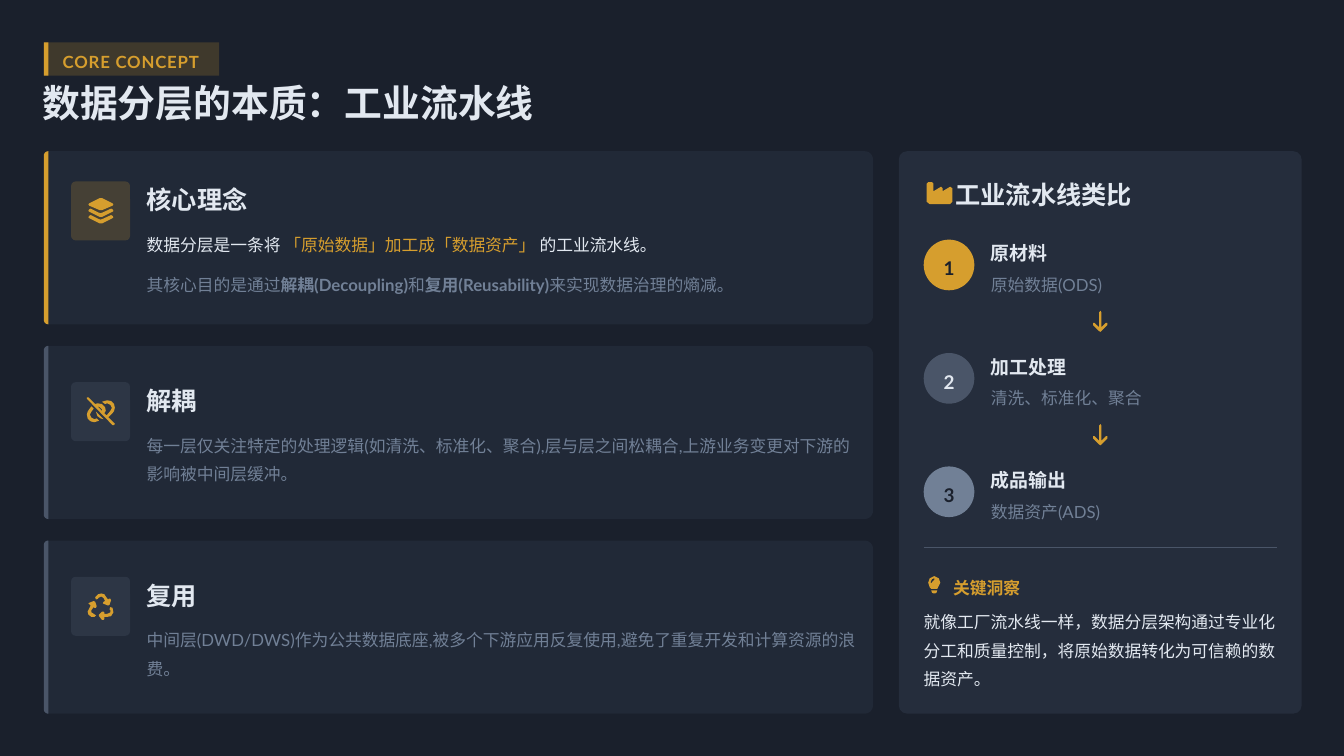
import math

from lxml import etree
from pptx import Presentation
from pptx.dml.color import RGBColor
from pptx.enum.shapes import MSO_CONNECTOR, MSO_SHAPE
from pptx.enum.text import MSO_ANCHOR, PP_ALIGN
from pptx.oxml.ns import qn
from pptx.util import Inches, Pt

RECTANGLE = MSO_SHAPE.RECTANGLE
ROUNDED = MSO_SHAPE.ROUNDED_RECTANGLE
OVAL = MSO_SHAPE.OVAL
STRAIGHT = MSO_CONNECTOR.STRAIGHT
MIDDLE = MSO_ANCHOR.MIDDLE
LEFT, CENTER = PP_ALIGN.LEFT, PP_ALIGN.CENTER
LATIN, CJK = "Lato", "Noto Sans CJK SC"
COLORS = {"night": "1A202C", "gold": "D69E2E", "light": "E2E8F0",
          "muted": "718096", "slate": "4A5568", "card": "2D3748"}

LAYER = [(26, 36), (36, 41), (39, 42), (42, 41), (53, 36), (55, 37), (56, 39),
         (55, 40), (41, 47), (38, 47), (24, 40), (23, 39), (24, 37)]
LAYERS_ICON = [
    [(38, 22), (41, 22), (55, 29), (56, 30), (55, 32), (41, 38), (38, 38),
     (24, 32), (23, 30), (24, 29)],
    LAYER,
    [(x, y + 8.5) for x, y in LAYER]]
UNLINK_ICON = [
    [(23, 20), (21, 20), (21, 22), (55, 57), (57, 57), (58, 55)],
    [(50, 46), (55, 41), (57, 38), (58, 34), (57, 29), (53, 25), (48, 24), (44, 25),
     (41, 26), (45, 29), (48, 28), (52, 30), (54, 34), (52, 38), (48, 43), (47, 44)],
    [(32, 29), (35, 28), (41, 29), (45, 33), (46, 38), (44, 41), (41, 38), (41, 36),
     (38, 33), (35, 32)],
    [(43, 49), (33, 39), (35, 45), (39, 48)],
    [(30, 35), (27, 32), (24, 36), (22, 39), (21, 43), (22, 48), (26, 52), (31, 53),
     (34, 52), (37, 51), (34, 48), (31, 49), (27, 47), (25, 43), (27, 39)]]
RECYCLE_ICON = [
    [(33, 26), (36, 23), (40, 22), (44, 23), (46, 26), (49, 30), (50, 29), (52, 29),
     (53, 31), (51, 37), (49, 38), (44, 36), (42, 35), (43, 33), (45, 32), (43, 28),
     (40, 26), (36, 28), (36, 29), (33, 30), (32, 27)],
    [(52, 40), (55, 41), (56, 47), (53, 52), (48, 53), (44, 53), (44, 56), (43, 57),
     (41, 57), (37, 52), (37, 50), (41, 46), (43, 46), (44, 47), (44, 49), (48, 49),
     (52, 47), (52, 44), (51, 43)],
    [(26, 38), (24, 36), (23, 35), (25, 34), (30, 32), (32, 33), (34, 39), (33, 41),
     (31, 41), (30, 40), (27, 44), (27, 47), (30, 49), (33, 51), (31, 53), (27, 53),
     (23, 50), (22, 46), (24, 42)]]
FACTORY_ICON = [
    [(39, 41), (37, 43), (37, 67), (41, 70), (68, 70), (71, 67), (71, 49), (68, 47),
     (58, 53), (58, 49), (56, 47), (46, 53), (46, 43), (44, 41)]]
BULB_ICON = [
    [(12, 17), (13, 15), (16, 9), (14, 3), (8, 0), (2, 3), (0, 9), (2, 15), (4, 17)],
    [(12, 19), (4, 19), (5, 22), (7, 23), (9, 23), (11, 22)],
    [(8, 5), (5, 8), (4, 10), (3, 8), (5, 4), (8, 3)]]
ARROW_ICON = [
    [(9, 27), (11, 28), (12, 27), (20, 19), (20, 16), (18, 16), (12, 22), (12, 2),
     (11, 0), (9, 2), (9, 22), (3, 16), (1, 16), (1, 19)]]

CARDS = [
    ("核心理念", 0.4, LAYERS_ICON, "gold", 20, [
        (0.36, [("数据分层是一条将", "light", False),
                (" 「原始数据」加工成「数据资产」 ", "gold", False),
                ("的工业流水线。", "light", False)]),
        (0.36, [("其核心目的是通过", "muted", False),
                ("解耦(Decoupling)", "muted", True),
                ("和", "muted", False),
                ("复用(Reusability)", "muted", True),
                ("来实现数据治理的熵减。", "muted", False)])]),
    ("解耦", 0.48, UNLINK_ICON, "slate", 30, [
        (0.72, [("每一层仅关注特定的处理逻辑(如清洗、标准化、聚合),层与层之间松耦合,"
                 "上游业务变更对下游的影响被中间层缓冲。", "muted", False)])]),
    ("复用", 0.48, RECYCLE_ICON, "slate", 30, [
        (0.72, [("中间层(DWD/DWS)作为公共数据底座,被多个下游应用反复使用,"
                 "避免了重复开发和计算资源的浪费。", "muted", False)])])]
STEPS = [("原材料", "原始数据(ODS)", "gold", "night"),
         ("加工处理", "清洗、标准化、聚合", "slate", "light"),
         ("成品输出", "数据资产(ADS)", "muted", "night")]
INSIGHT = "就像工厂流水线一样，数据分层架构通过专业化分工和质量控制，将原始数据转化为可信赖的数据资产。"


def paint(shape, color, alpha=100):
    shape.shadow.inherit = False
    shape.line.fill.background()
    shape.fill.solid()
    shape.fill.fore_color.rgb = RGBColor.from_string(COLORS[color])
    if alpha < 100:
        tint = shape.fill._xPr.find(qn("a:solidFill"))[0]
        etree.SubElement(tint, qn("a:alpha")).set("val", str(alpha * 1000))
    return shape


def add_preset(page, kind, box, color, alpha=100, radius=None):
    shape = page.shapes.add_shape(kind, *[Inches(v) for v in box])
    if radius:
        shape.adjustments[0] = radius / min(box[2:])
    return paint(shape, color, alpha)


def add_outline(page, left, top, contours, color, alpha=100, unit=0.01):
    contours = [[(Inches(x * unit), Inches(y * unit)) for x, y in c] for c in contours]
    builder = page.shapes.build_freeform(*contours[0][0])
    builder.add_line_segments(contours[0][1:])
    for contour in contours[1:]:
        builder.move_to(*contour[0])
        builder.add_line_segments(contour[1:])
    return paint(builder.convert_to_shape(Inches(left), Inches(top)), color, alpha)


def add_rounded_sides(page, box, left_radius, right_radius, color, alpha=100):
    left, top, width, height = box
    corners = [(right_radius, width - right_radius, right_radius, -90),
               (right_radius, width - right_radius, height - right_radius, 0),
               (left_radius, left_radius, height - left_radius, 90),
               (left_radius, left_radius, left_radius, 180)]
    points = []
    for radius, x, y, start in corners:
        for turn in range(0, 91, 15):
            angle = math.radians(start + turn)
            points.append((x + radius * math.cos(angle), y + radius * math.sin(angle)))
    return add_outline(page, left, top, [points], color, alpha, unit=1)


def write(frame, spans, size, spacing, align=LEFT, font=LATIN, tracking=None):
    frame.word_wrap = True
    frame.vertical_anchor = MIDDLE
    frame.margin_left = frame.margin_right = frame.margin_top = frame.margin_bottom = 0
    para = frame.paragraphs[0]
    para.alignment = align
    para.line_spacing = spacing
    for text, color, bold in spans:
        span = para.add_run()
        span.text = text
        span.font.size = Pt(size)
        span.font.bold = bold
        span.font.color.rgb = RGBColor.from_string(COLORS[color])
        span.font.name = font
        props = span.font._element
        etree.SubElement(props, qn("a:ea")).set("typeface", CJK)
        if tracking:
            props.set("spc", str(tracking))


def add_text(page, box, spans, size, spacing, **options):
    shape = page.shapes.add_textbox(*[Inches(v) for v in box])
    write(shape.text_frame, spans, size, spacing, **options)


def draw_header(page, left, top):
    add_preset(page, RECTANGLE, (left, top, 2.32, 0.44), "gold", 20)
    add_preset(page, RECTANGLE, (left, top, 0.06, 0.44), "gold")
    add_text(page, (left + 0.25, top + 0.07, 1.96, 0.29),
             [("CORE CONCEPT", "gold", True)], 16, 1.3, tracking=80)
    add_text(page, (left - 0.02, top + 0.55, 16.92, 0.56),
             [("数据分层的本质：工业流水线", "light", True)], 36, 0.9, font=CJK)


def draw_card(page, box, card):
    title, inset, icon, accent, alpha, lines = card
    left, top, width, height = box
    add_rounded_sides(page, box, 0.06, 0.11, "card", 40)
    add_rounded_sides(page, (left, top, 0.06, height), 0.06, 0, accent)
    tile_left, tile_top, text_left = left + 0.36, top + inset, left + 1.36
    add_preset(page, ROUNDED, (tile_left, tile_top, 0.78, 0.78), accent, alpha, 0.06)
    add_outline(page, tile_left, tile_top, icon, "gold")
    add_text(page, (text_left, tile_top, 9.44, 0.44), [(title, "light", True)], 24, 1.1)
    for i, (line_height, spans) in enumerate(lines):
        add_text(page, (text_left, tile_top + 0.61 + i * 0.53, 9.39, line_height),
                 spans, 16, 1.4)


def draw_step(page, left, top, number, step):
    title, detail, color, ink = step
    circle = add_preset(page, OVAL, (left, top, 0.67, 0.67), color)
    write(circle.text_frame, [(str(number), ink, True)], 18, 1.3, align=CENTER)
    add_text(page, (left + 0.89, top - 0.06, 3.9, 0.39), [(title, "light", True)], 18, 1.3)
    add_text(page, (left + 0.89, top + 0.39, 3.89, 0.33), [(detail, "muted", False)], 16, 1.3)
    if number < len(STEPS):
        add_outline(page, left + 2.23, top + 0.94, ARROW_ICON, "gold")


def draw_analogy(page, box):
    left, top = box[:2]
    inner = left + 0.33
    add_preset(page, ROUNDED, box, "card", 60, 0.11)
    add_outline(page, left, top, FACTORY_ICON, "gold")
    add_text(page, (left + 0.75, top + 0.33, 4.42, 0.44),
             [("工业流水线类比", "light", True)], 24, 1.1)
    for i, step in enumerate(STEPS):
        draw_step(page, inner, top + 1.17 + i * 1.5, i + 1, step)
    rule_y = Inches(top + 5.24)
    rule = page.shapes.add_connector(STRAIGHT, Inches(inner), rule_y,
                                     Inches(inner + 4.67), rule_y)
    rule.line.color.rgb = RGBColor.from_string(COLORS["slate"])
    rule.line.width = Pt(0.75)
    etree.SubElement(rule._element.spPr, qn("a:effectLst"))
    add_outline(page, left + 0.39, top + 5.62, BULB_ICON, "gold")
    add_text(page, (left + 0.72, top + 5.57, 1, 0.33), [("关键洞察", "gold", True)], 16, 1.3)
    add_text(page, (inner, top + 6.01, 4.78, 1.08), [(INSIGHT, "light", False)], 16, 1.4)


def main():
    deck = Presentation()
    deck.slide_width, deck.slide_height = Inches(17.78), Inches(10)
    page = deck.slides.add_slide(deck.slide_layouts[6])
    page.background.fill.solid()
    page.background.fill.fore_color.rgb = RGBColor.from_string(COLORS["night"])
    draw_header(page, 0.58, 0.56)
    for i, card in enumerate(CARDS):
        draw_card(page, (0.58, 2 + i * 2.575, 10.97, 2.29), card)
    draw_analogy(page, (11.89, 2, 5.33, 7.44))
    deck.save("out.pptx")


if __name__ == "__main__":
    main()
